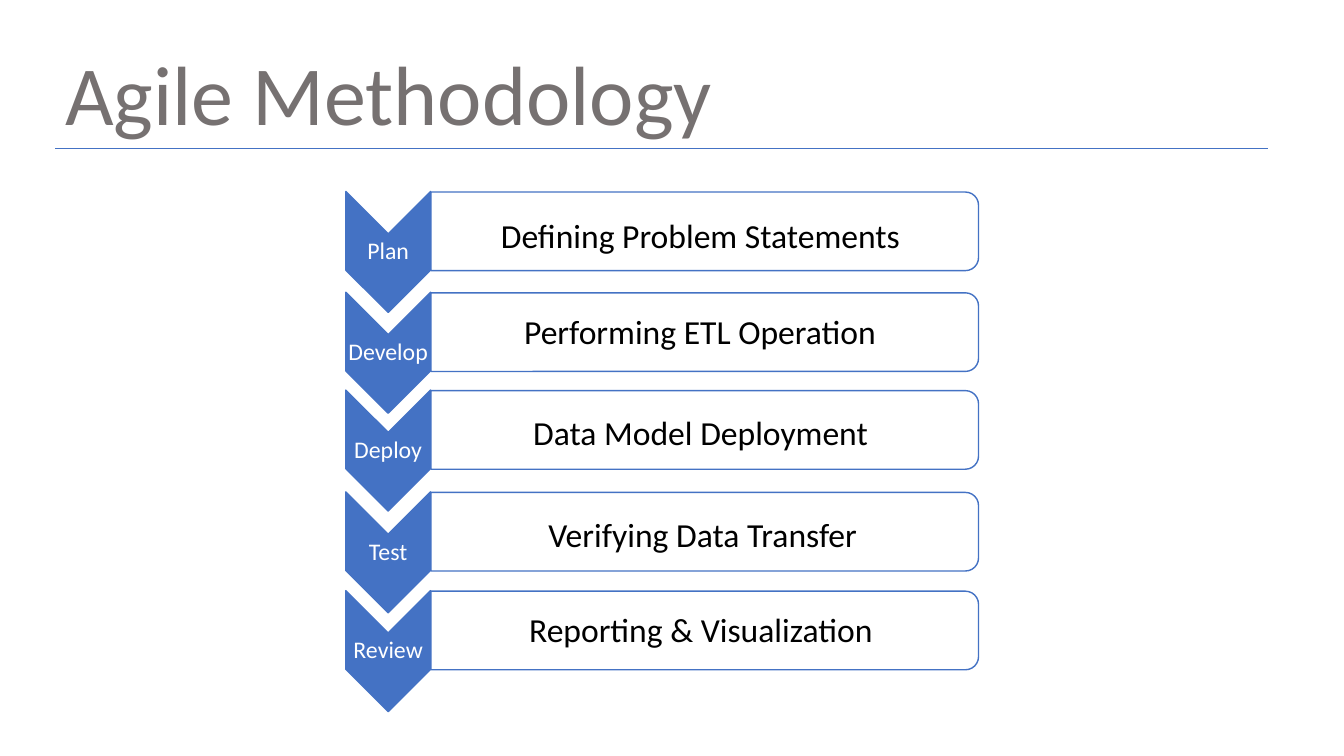
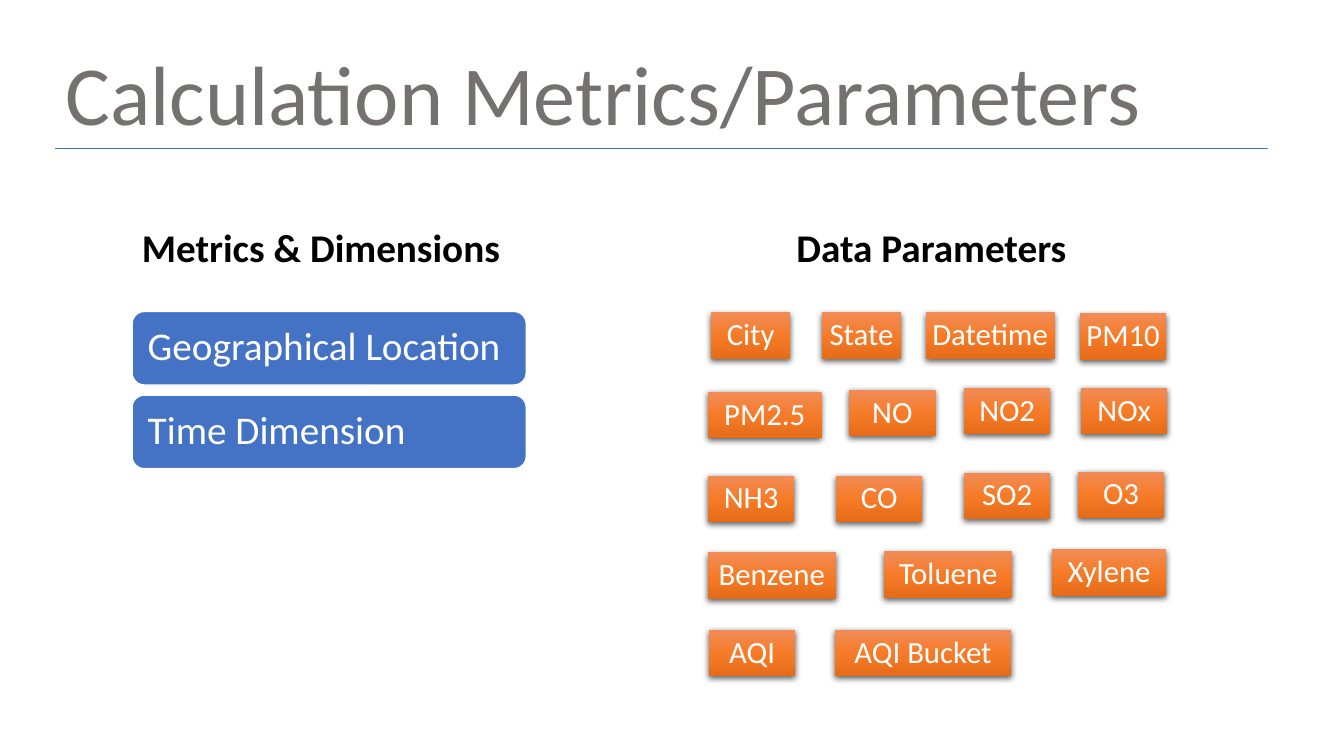
from copy import deepcopy

from pptx import Presentation
from pptx.dml.color import RGBColor
from pptx.enum.shapes import MSO_CONNECTOR, MSO_SHAPE
from pptx.enum.text import MSO_ANCHOR, PP_ALIGN
from pptx.oxml.ns import qn
from pptx.util import Emu, Pt
from lxml import etree

PX = 9144  # one hundredth of an inch
FONT = "Calibri"
LEFT, CENTER = PP_ALIGN.LEFT, PP_ALIGN.CENTER
TOP, MIDDLE = MSO_ANCHOR.TOP, MSO_ANCHOR.MIDDLE
CHEVRON, RECTANGLE = MSO_SHAPE.CHEVRON, MSO_SHAPE.RECTANGLE
ROUNDED, ROUNDED_TOP = MSO_SHAPE.ROUNDED_RECTANGLE, MSO_SHAPE.ROUND_2_SAME_RECTANGLE
STRAIGHT = MSO_CONNECTOR.STRAIGHT

COLORS = {name: RGBColor.from_string(value) for name, value in {
    "title": "767171", "blue": "4472C4", "white": "FFFFFF", "black": "000000",
    "orange_light": "F18C57", "orange": "F67B28", "orange_dark": "E56C19",
}.items()}

# Text formats: size, colour, bold, alignment, anchor, wrap, insets, line spacing
PLAIN = {"size": 24, "color": "black", "bold": False, "align": LEFT, "anchor": TOP,
         "wrap": False, "insets": (10, 5), "spacing": 1.0}
FITTED = {**PLAIN, "color": "white", "anchor": MIDDLE, "wrap": True, "spacing": 0.9}
TITLE = {**PLAIN, "size": 60, "color": "title"}
HEADING = {**PLAIN, "size": 28, "bold": True}
STEP = {**FITTED, "size": 17, "align": CENTER, "insets": (1, 1)}
CARD = {**FITTED, "size": 28, "insets": (12, 12)}
CHIP = {**FITTED, "size": 22, "align": CENTER, "insets": (6, 6)}


def write(box, text, style):
    frame = box.text_frame
    across, down = (Emu(inset * PX) for inset in style["insets"])
    for name, value in {
        "word_wrap": style["wrap"], "vertical_anchor": style["anchor"],
        "margin_left": across, "margin_right": across,
        "margin_top": down, "margin_bottom": down,
    }.items():
        setattr(frame, name, value)
    para = frame.paragraphs[0]
    para.alignment = style["align"]
    para.line_spacing = style["spacing"]
    span = para.add_run()
    span.text = text
    for name, value in {"name": FONT, "size": Pt(style["size"]),
                        "bold": style["bold"]}.items():
        setattr(span.font, name, value)
    span.font.color.rgb = COLORS[style["color"]]


def add_box(page, area, kind=None, fill=None, line=None):
    lengths = [Emu(length * PX) for length in area]
    if kind is None:
        return page.shapes.add_textbox(*lengths)
    shape = page.shapes.add_shape(kind, *lengths)
    shape.shadow.inherit = False
    if fill:
        shape.fill.solid()
        shape.fill.fore_color.rgb = COLORS[fill]
    if line:
        shape.line.color.rgb = COLORS[line]
        shape.line.width = Pt(1)
    else:
        shape.line.fill.background()
    return shape


deck = Presentation()
deck.slide_width, deck.slide_height = Emu(1333 * PX), Emu(750 * PX)

# Titles with the rule below them
pages = []
for title, width in [("Agile Methodology", 668), ("Calculation Metrics/Parameters", 1098)]:
    page = deck.slides.add_slide(deck.slide_layouts[6])
    write(add_box(page, (55, 36, width, 111)), title, TITLE)
    rule = page.shapes.add_connector(
        STRAIGHT, *(Emu(length * PX) for length in (55, 147, 1258, 147)))
    rule.line.color.rgb = COLORS["blue"]
    rule.line.width = Pt(0.5)
    etree.SubElement(rule._element.spPr, qn("a:effectLst"))
    pages.append(page)
agile_page, metrics_page = pages

# Agile steps: chevron with its label, then bar with its description
steps = [
    # label, chevron top, description, its left, top and width
    ("Plan", 208, "Defining Problem Statements", 487, 208, 420),
    ("Develop", 308, "Performing ETL Operation", 510, 304, 373),
    ("Deploy", 405, "Data Model Deployment", 519, 404, 356),
    ("Test", 506, "Verifying Data Transfer", 534, 505, 330),
    ("Review", 604, "Reporting & Visualization", 515, 599, 364),
]
for label, top, description, left, text_top, width in steps:
    chevron = add_box(agile_page, (325, top, 120, 84), CHEVRON, "blue", "blue")
    bar = add_box(agile_page, (660, top - 250, 78, 543), ROUNDED_TOP, "white", "blue")
    chevron.rotation = bar.rotation = 90
    bar_color = bar._element.spPr.find(qn("a:solidFill"))[0]
    etree.SubElement(bar_color, qn("a:alpha"), val="90000")
    write(add_box(agile_page, (343, top + 24, 84, 36)), label, STEP)
    write(add_box(agile_page, (left, text_top, width, 50)), description, PLAIN)

# Column headings
for heading, left, width in [("Metrics & Dimensions", 131, 379), ("Data Parameters", 780, 291)]:
    write(add_box(metrics_page, (left, 217, width, 57)), heading, HEADING)

# Dimension cards
for index, dimension in enumerate(["Geographical Location", "Time Dimension"]):
    card = add_box(metrics_page, (131, 309 + 83 * index, 391, 73), ROUNDED, "blue", "white")
    write(card, dimension, CARD)

# Parameter chips: name, left, top, width
chips = [
    ("City", 705, 310, 79), ("State", 815, 310, 79),
    ("Datetime", 918, 310, 128), ("PM10", 1071, 311, 86),
    ("PM2.5", 702, 389, 113), ("NO", 842, 387, 86),
    ("NO2", 956, 385, 86), ("NOx", 1072, 385, 86),
    ("NH3", 702, 472, 86), ("CO", 829, 472, 86),
    ("SO2", 956, 469, 86), ("O3", 1069, 468, 86),
    ("Benzene", 702, 548, 127), ("Toluene", 877, 547, 127), ("Xylene", 1043, 545, 114),
    ("AQI", 703, 625, 86), ("AQI Bucket", 828, 625, 175),
]
for parameter, left, top, width in chips:
    chip = add_box(metrics_page, (left, top, width, 46), RECTANGLE)
    # Three-stop gradient running downwards
    chip.fill.gradient()
    chip.fill.gradient_angle = 270
    stop_list = chip._element.spPr.find(qn("a:gradFill")).find(qn("a:gsLst"))
    stop_list.append(deepcopy(stop_list[-1]))
    shades = ["orange_light", "orange", "orange_dark"]
    for index, (stop, shade) in enumerate(zip(chip.fill.gradient_stops, shades)):
        stop.position = index / 2
        stop.color.rgb = COLORS[shade]
    # Soft shadow below
    effects = chip._element.spPr.find(qn("a:effectLst"))
    shadow = etree.SubElement(effects, qn("a:outerShdw"), blurRad=str(Pt(4.5)),
                              dist=str(Pt(1.5)), dir="5400000", algn="ctr", rotWithShape="0")
    shadow_color = etree.SubElement(shadow, qn("a:srgbClr"), val=str(COLORS["black"]))
    etree.SubElement(shadow_color, qn("a:alpha"), val="63000")
    write(chip, parameter, CHIP)

deck.save("out.pptx")
